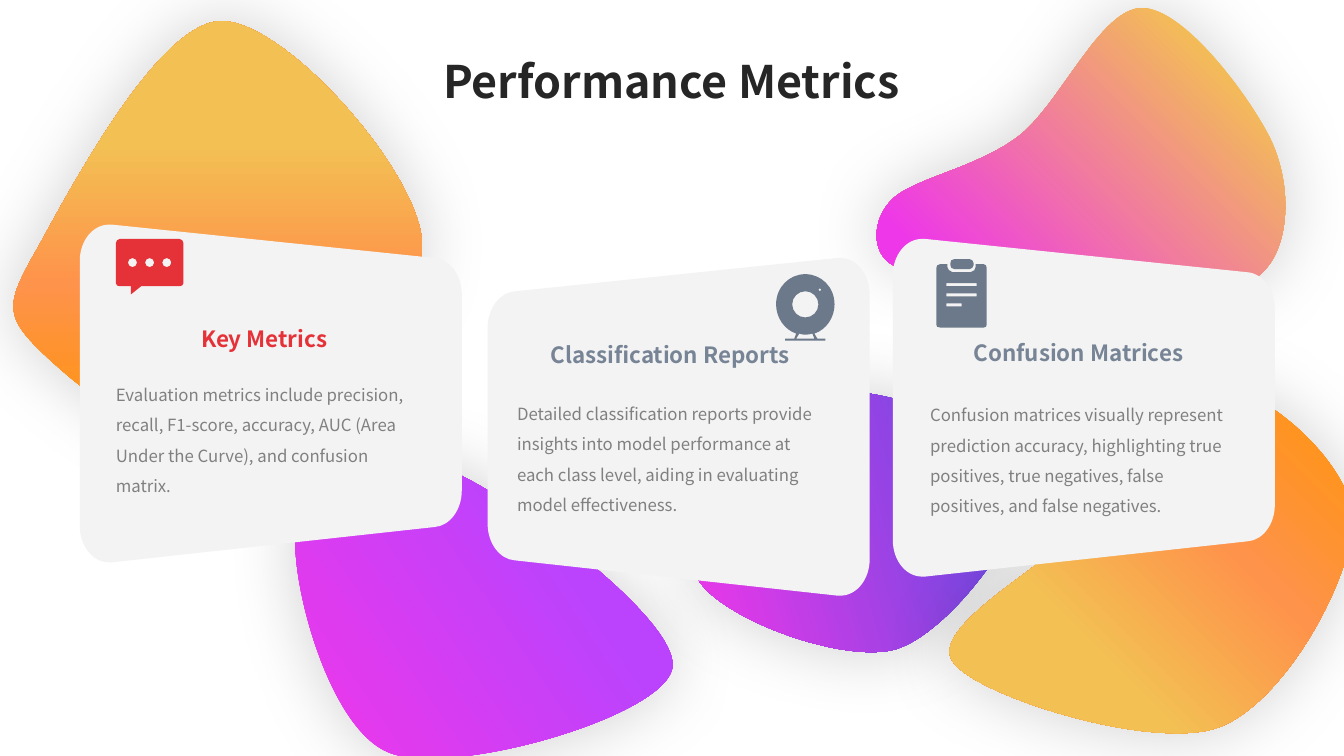
from dataclasses import dataclass

from lxml.etree import Element, SubElement
from pptx import Presentation
from pptx.dml.color import RGBColor
from pptx.enum.text import MSO_ANCHOR, MSO_AUTO_SIZE, PP_ALIGN
from pptx.oxml.ns import qn
from pptx.shapes.autoshape import Shape
from pptx.slide import Slide
from pptx.text.text import TextFrame
from pptx.util import Cm, Pt

FONT = "Noto Sans CJK SC"
COLORS = {
    "title": "262626", "body": "808080", "card": "F3F3F3", "red": "E53238",
    "heading": "778495", "icon": "6C798A", "orange": "FF9409", "coral": "FE934B",
    "yellow": "F3C053", "pink": "EE37E9", "violet": "BB43FD", "indigo": "584CE0",
}
GRID = Cm(2.54) / 100
ARITY = {"M": 2, "L": 2, "C": 6, "O": 3}
ROUND = 0.55
TEXT_W = Cm(8.08)
SUNSET = ((0, "orange"), (38, "coral"), (71, "yellow"))

CARD_OUTLINE = (
    "M 29 0 C 13 0 0 16 0 36 L 0 299 C 0 319 13 335 29 335 L 32 335 L 352 300 "
    "C 367 299 379 283 379 264 L 379 69 C 379 50 367 34 351 33 L 32 0"
)
CHAT_ICON = (
    "M 178 237 C 180 237 182 239 182 241 L 182 281 C 182 283 180 284 178 284 "
    "L 140 284 L 130 292 L 130 284 L 119 284 C 117 284 115 283 115 281 L 115 241 "
    "C 115 239 117 237 119 237 O 131.5 260.5 4.5 O 148.5 260.5 4.5 O 165.5 260.5 4.5"
)
CAMERA_ICON = (
    "M 799 272 C 815 272 828 285 828 302 C 828 315 820 327 808 331 L 811 336 L 819 336 "
    "L 819 338 L 779 338 L 779 336 L 788 336 L 790 331 C 778 327 770 315 770 302 "
    "C 770 285 783 272 799 272 M 793 331 L 790 336 L 808 336 L 806 331 "
    "C 804 332 801 332 799 332 C 797 332 795 332 793 331 O 799 302 13 O 813.5 287.5 1.5"
)
CLIPBOARD_ICON = (
    "M 940 262 L 940 265 C 940 267 942 269 945 270 L 963 270 C 966 270 968 267 968 265 "
    "L 968 262 L 976 262 C 978 262 979 264 979 266 L 979 322 C 979 324 978 325 976 325 "
    "L 933 325 C 930 325 929 324 929 322 L 929 266 C 929 264 930 262 933 262 "
    "M 939 301 L 954 301 L 954 304 L 939 304 M 939 291 L 969 291 L 969 294 L 939 294 "
    "M 939 281 L 969 281 L 969 284 L 939 284 "
    "M 962 257 C 964 257 966 259 966 261 L 966 263 C 966 265 964 267 962 267 L 947 267 "
    "C 944 267 943 265 943 263 L 943 261 C 943 259 944 257 947 257"
)


@dataclass
class Blob:
    """A gradient blob with an angle measured counter-clockwise."""
    outline: str
    stops: tuple[tuple[int, str], ...]
    angle: float


@dataclass
class Card:
    """A slanted card; positions are in centimetres."""
    pos: tuple[float, float]
    flipped: bool
    icon: str
    icon_color: str
    heading: str
    heading_color: str
    heading_pos: tuple[float, float]
    body: str
    body_pos: tuple[float, float]


BLOBS = [
    Blob("M 38 245 C 68 191 157 21 220 21 C 284 21 418 173 419 243 C 419 313 289 424 226 441 "
         "C 162 458 68 376 36 344 C 4 311 7 299 38 245", SUNSET, 90),
    Blob("M 440 464 C 502 487 676 616 667 663 C 658 711 450 771 387 747 "
         "C 325 724 286 570 294 523 C 303 476 378 441 440 464",
         ((0, "pink"), (71, "violet")), 34.2),
    Blob("M 689 567 C 677 525 761 407 815 391 C 870 376 1004 430 1016 472 "
         "C 1028 514 943 628 889 644 C 835 660 701 609 689 567",
         ((0, "indigo"), (100, "pink")), 196.2),
    Blob("M 1078 519 C 1122 473 1164 384 1208 383 C 1252 383 1342 460 1342 516 "
         "C 1342 573 1275 698 1208 722 C 1142 745 967 690 945 656 C 923 622 1034 564 1078 519",
         SUNSET, 225),
    Blob("M 885 198 C 906 177 969 167 1011 135 C 1052 103 1092 8 1133 8 "
         "C 1175 8 1239 95 1260 137 C 1281 180 1280 235 1259 263 C 1238 292 1174 308 1132 308 "
         "C 1090 308 1049 272 1008 264 C 967 257 907 274 886 263 C 865 252 864 219 885 198",
         ((13, "yellow"), (88, "pink")), 225),
]
CARDS = [
    Card((2.01, 5.66), False, CHAT_ICON, "red", "Key Metrics", "red", (2.62, 8.08),
         "Evaluation metrics include precision, recall, F1-score, accuracy, AUC (Area Under "
         "the Curve), and confusion matrix.", (2.67, 9.32)),
    Card((12.29, 6.5), True, CAMERA_ICON, "icon", "Classification Reports", "heading",
         (12.85, 8.48),
         "Detailed classification reports provide insights into model performance at each "
         "class level, aiding in evaluating model effectiveness.", (12.78, 9.8)),
    Card((22.5, 6.02), False, CLIPBOARD_ICON, "icon", "Confusion Matrices", "heading",
         (23.14, 8.43),
         "Confusion matrices visually represent prediction accuracy, highlighting true "
         "positives, true negatives, false positives, and false negatives.", (23.19, 9.83)),
]


def rgb(name: str) -> RGBColor:
    """Return the named colour."""
    return RGBColor.from_string(COLORS[name])


def trace(outline: str, left: int, top: int) -> list[list[list[tuple[float, float]]]]:
    """Turn commands into contours of steps, each step ending at its anchor point."""
    contours, command, args = [], "", []
    for token in outline.split():
        if token in ARITY:
            command, args = token, []
            continue
        args.append(float(token))
        if len(args) < ARITY[command]:
            continue
        if command == "O":
            cx, cy, radius = args
            steps = [[(1, 0)]]
            for ux, uy in ((1, 0), (0, 1), (-1, 0), (0, -1)):
                steps.append([(ux - ROUND * uy, uy + ROUND * ux),
                              (ROUND * ux - uy, ROUND * uy + ux), (-uy, ux)])
            steps = [[(cx + radius * x, cy + radius * y) for x, y in step] for step in steps]
        else:
            steps = [list(zip(args[::2], args[1::2]))]
        if command in "MO":
            contours.append([])
        contours[-1] += [[(left + x * GRID, top + y * GRID) for x, y in st] for st in steps]
    return contours


def add_outline(s: Slide, outline: str, pos: tuple[float, float] = (0, 0)) -> Shape:
    """Draw an outline as a borderless freeform with true curves."""
    contours = trace(outline, Cm(pos[0]), Cm(pos[1]))
    builder = s.shapes.build_freeform(*contours[0][0][-1], scale=1.0)
    for i, (start, *rest) in enumerate(contours):
        if i:
            builder.move_to(*start[-1])
        builder.add_line_segments([step[-1] for step in rest], close=True)
    sp = builder.convert_to_shape()
    steps = [step for contour in contours for step in contour[1:]]
    for segment, step in zip(list(sp.element.iter(qn("a:lnTo"))), steps):
        if len(step) == 3:
            segment.tag = qn("a:cubicBezTo")
            for x, y in step[:2]:
                segment[-1].addprevious(Element(
                    qn("a:pt"), x=str(round(x - sp.left)), y=str(round(y - sp.top))))
    sp.shadow.inherit = False
    sp.line.fill.background()
    return sp


def add_solid(s: Slide, outline: str, color: str, pos: tuple[float, float] = (0, 0)) -> Shape:
    """Draw an outline in one colour."""
    sp = add_outline(s, outline, pos)
    sp.fill.solid()
    sp.fill.fore_color.rgb = rgb(color)
    return sp


def add_blob(s: Slide, blob: Blob) -> None:
    """Draw a gradient blob with a soft shadow."""
    sp = add_outline(s, blob.outline)
    sp.fill.gradient()
    sp.fill.gradient_angle = blob.angle
    props = sp.element.spPr
    stops = props.find(qn("a:gradFill")).find(qn("a:gsLst"))
    for old in list(stops):
        stops.remove(old)
    for percent, color in blob.stops:
        stop = SubElement(stops, qn("a:gs"), pos=str(percent * 1000))
        SubElement(stop, qn("a:srgbClr"), val=COLORS[color])
    shadow = SubElement(props.find(qn("a:effectLst")), qn("a:outerShdw"),
                        blurRad=str(Pt(51)), dist="0", dir="0", algn="ctr", rotWithShape="0")
    SubElement(SubElement(shadow, qn("a:srgbClr"), val="000000"), qn("a:alpha"), val="18000")


def write(tf: TextFrame, text: str, size: int, color: str, bold: bool) -> None:
    """Put one formatted paragraph in a frame, centred when bold."""
    tf.word_wrap = True
    tf.text = text
    p = tf.paragraphs[0]
    p.alignment = PP_ALIGN.CENTER if bold else PP_ALIGN.LEFT
    p.line_spacing = 1.0 if bold else 1.5
    p.font.name, p.font.size, p.font.bold = FONT, Pt(size), bold
    p.font.color.rgb = rgb(color)


def add_text(s: Slide, pos: tuple[float, float], height: float, text: str, size: int,
             color: str, bold: bool) -> None:
    """Add a text box of the common width."""
    tf = s.shapes.add_textbox(Cm(pos[0]), Cm(pos[1]), TEXT_W, Cm(height)).text_frame
    write(tf, text, size, color, bold)
    tf.auto_size = MSO_AUTO_SIZE.SHAPE_TO_FIT_TEXT


def add_card(s: Slide, card: Card) -> None:
    """Draw a card with its icon, heading and text."""
    sp = add_solid(s, CARD_OUTLINE, "card", card.pos)
    if card.flipped:
        sp.element.spPr.xfrm.set("flipH", "1")
    add_text(s, card.heading_pos, 0.94, card.heading, 16, card.heading_color, True)
    add_solid(s, card.icon, card.icon_color)
    add_text(s, card.body_pos, 3.25, card.body, 12, "body", False)


def main() -> None:
    """Build and save the slide."""
    prs = Presentation()
    prs.slide_width, prs.slide_height = Cm(33.87), Cm(19.05)
    s = prs.slides.add_slide(prs.slide_layouts[5])
    title = s.shapes.title
    title.left, title.top, title.width, title.height = Cm(8.05), Cm(1.22), Cm(17.75), Cm(1.63)
    write(title.text_frame, "Performance Metrics", 32, "title", True)
    title.text_frame.vertical_anchor = MSO_ANCHOR.MIDDLE
    for blob in BLOBS:
        add_blob(s, blob)
    for card in CARDS:
        add_card(s, card)
    prs.save("out.pptx")


if __name__ == "__main__":
    main()
